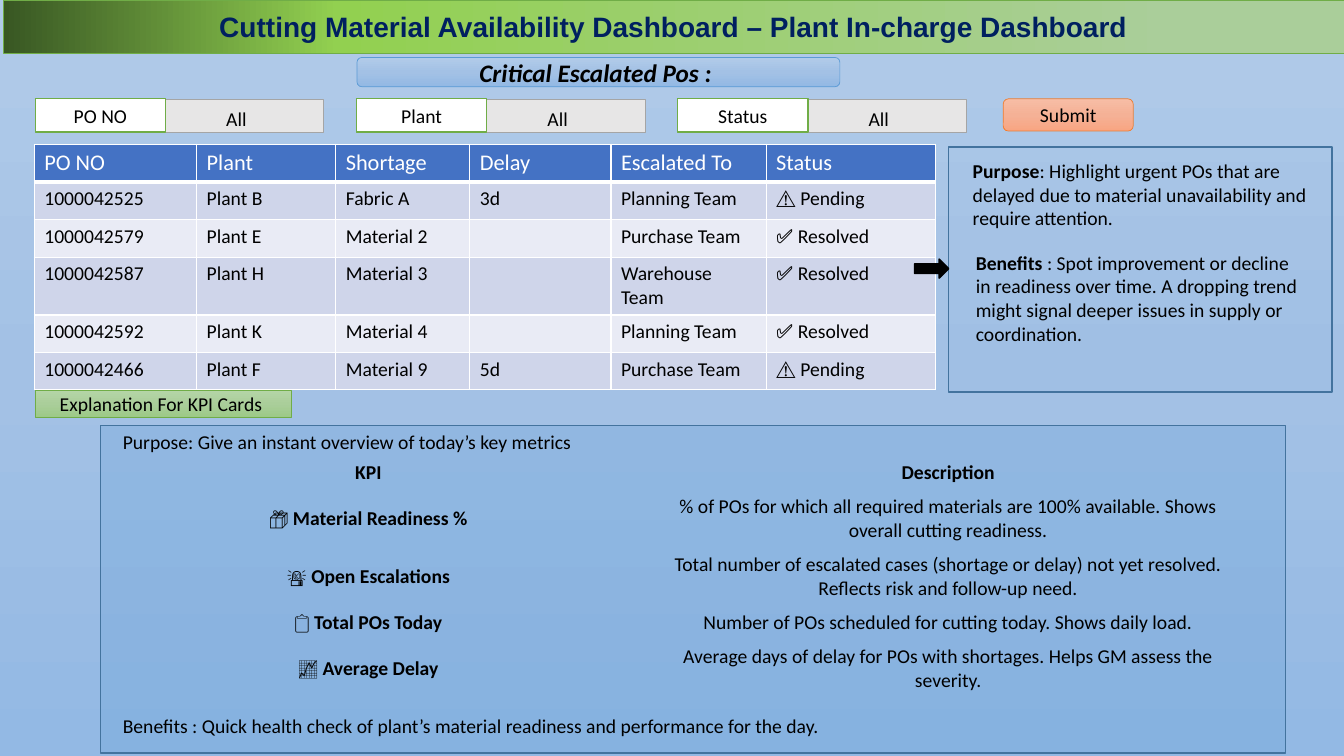
from dataclasses import dataclass
from typing import NamedTuple

from lxml.etree import SubElement
from pptx import Presentation
from pptx.dml.color import RGBColor
from pptx.enum.shapes import MSO_SHAPE as Shape
from pptx.enum.text import MSO_ANCHOR as Anchor, MSO_AUTO_SIZE as AutoSize, PP_ALIGN as Align
from pptx.oxml import parse_xml
from pptx.oxml.ns import nsdecls, qn
from pptx.util import Inches, Pt


@dataclass(frozen=True)
class Theme:
    font: str = "Calibri"
    title_font: str = "Arial"
    body: int = 14
    header: int = 16
    subtitle: int = 18
    title: int = 20
    black: str = "000000"
    white: str = "FFFFFF"
    navy: str = "002060"
    panel: str = "5B9BD5"
    panel_edge: str = "43739E"
    green: str = "70AD47"
    orange: str = "ED7D31"
    grey: str = "E7E6E6"
    grey_edge: str = "A5A5A5"
    table_head: str = "4472C4"
    bands: tuple = ("CFD5EA", "E9EBF5")
    sky: tuple = ((0, "B1CBE9"), (50, "A3C1E5"), (100, "93B9E4"))
    leaf: tuple = ((0, "B5D5A7"), (50, "AACE9A"), (100, "9CC987"))
    peach: tuple = ((0, "F7BDA5"), (50, "F5B196"), (100, "F8A582"))
    banner: tuple = ((13, "AACE9A"), (75, "92D050"), (100, "385723"))


THEME = Theme()
WIDTH, HEIGHT = Inches(13.33), Inches(7.5)
PLAIN_TABLE = "{2D5ABB26-0587-4C30-8999-92F81FD0307C}"
DOWN, LEFTWARD = 270, 180


class Area(NamedTuple):
    """Left, top, width and height in percent of the slide."""
    left: float
    top: float
    width: float
    height: float

    def lengths(self) -> tuple:
        return across(self.left), down(self.top), across(self.width), down(self.height)


class Span(NamedTuple):
    text: str
    bold: bool = False


@dataclass
class Card:
    area: Area
    fill: str | tuple
    edge: str
    edge_width: float = 0.5
    spans: tuple = ()
    kind: Shape = Shape.RECTANGLE
    opacity: int = 100
    angle: int = DOWN
    style: dict | None = None
    insets: dict | None = None


class Note(NamedTuple):
    area: Area
    spans: tuple


def across(percent: float) -> int:
    return round(WIDTH * percent / 100)


def down(percent: float) -> int:
    return round(HEIGHT * percent / 100)


# Text and fills
def write(frame, spans: tuple, align=Align.LEFT, style: dict | None = None) -> None:
    formats = {"name": THEME.font, "size": THEME.body, "color": THEME.black} | (style or {})
    para = frame.paragraphs[0]
    para.alignment = align
    for text, bold in spans:
        span = para.add_run()
        span.text = text
        span.font.color.rgb = RGBColor.from_string(formats["color"])
        values = formats | {"size": Pt(formats["size"]), "bold": formats.get("bold", bold)}
        del values["color"]
        for name, value in values.items():
            setattr(span.font, name, value)


def paint(fill, element, paint_value: str | tuple, angle: int = DOWN) -> None:
    if isinstance(paint_value, str):
        fill.solid()
        fill.fore_color.rgb = RGBColor.from_string(paint_value)
        return
    fill.gradient()
    fill.gradient_angle = angle
    stops = element.find(f".//{qn('a:gsLst')}")
    for stop in list(stops):
        stops.remove(stop)
    for position, color in paint_value:
        stop = SubElement(stops, qn("a:gs"), pos=str(position * 1000))
        SubElement(stop, qn("a:srgbClr"), val=color)


def draw_card(page, card: Card) -> None:
    box = page.shapes.add_shape(card.kind, *card.area.lengths())
    box.shadow.inherit = False
    paint(box.fill, box.element, card.fill, card.angle)
    if card.opacity < 100:
        color = box.element.spPr.find(f"{qn('a:solidFill')}/{qn('a:srgbClr')}")
        SubElement(color, qn("a:alpha"), val=str(card.opacity * 1000))
    box.line.color.rgb = RGBColor.from_string(card.edge)
    box.line.width = Pt(card.edge_width)
    box.text_frame.vertical_anchor = Anchor.MIDDLE
    for side, inset in (card.insets or {}).items():
        setattr(box.text_frame, side, inset)
    write(box.text_frame, card.spans, Align.CENTER, card.style)


def draw_note(page, note: Note) -> None:
    box = page.shapes.add_textbox(*note.area.lengths())
    box.text_frame.word_wrap = True
    box.text_frame.auto_size = AutoSize.SHAPE_TO_FIT_TEXT
    write(box.text_frame, note.spans)


# Tables
def add_grid(page, left: float, top: float, columns: tuple, rows: tuple):
    area = Area(left, top, sum(columns), sum(rows))
    frame = page.shapes.add_table(len(rows), len(columns), *area.lengths())
    frame.element.find(f".//{qn('a:tableStyleId')}").text = PLAIN_TABLE
    table = frame.table
    table.first_row = table.horz_banding = False
    for column, share in zip(table.columns, columns):
        column.width = across(share)
    for row, share in zip(table.rows, rows):
        row.height = down(share)
    return frame


def draw_orders(page) -> None:
    frame = add_grid(page, 2.55, 19.07, (12.08, 10.35, 9.98, 10.5, 11.55, 12.6),
                     (4.93, 5, 5, 7.65, 4.93, 4.93))
    for index, order in enumerate(ORDERS):
        for column, text in enumerate(order):
            cell = frame.table.cell(index, column)
            paint(cell.fill, None, THEME.bands[(index - 1) % 2] if index else THEME.table_head)
            style = {} if index else {"size": THEME.header, "color": THEME.white}
            write(cell.text_frame, (Span(text),) if text else (), style=style)
    for tc in frame.element.iter(qn("a:tc")):
        header = tc.getparent() is frame.element.find(f".//{qn('a:tr')}")
        for place, side in enumerate(("lnL", "lnR", "lnT", "lnB")):
            points = 3 if header and side == "lnB" else 1
            tc.get_or_add_tcPr().insert(place, parse_xml(
                f'<a:{side} {nsdecls("a")} w="{Pt(points)}"><a:solidFill>'
                f'<a:srgbClr val="{THEME.white}"/></a:solidFill></a:{side}>'))
        # An empty cell keeps the body size, so its row does not grow
        para = tc.find(f".//{qn('a:p')}")
        if para.find(qn("a:r")) is None:
            SubElement(para, qn("a:endParaRPr"), sz=str(THEME.body * 100))


def draw_kpis(page) -> None:
    line, double = 4.53, 7.6
    frame = add_grid(page, 5.85, 60.27, (43.13, 43.13), (line, double, double, line, double))
    for index, (icon, name, description) in enumerate(KPIS):
        label = ((Span(f"{icon} "),) if icon else ()) + (Span(name, True),)
        for column, spans in enumerate((label, (Span(description, index == 0),))):
            cell = frame.table.cell(index, column)
            cell.fill.background()
            cell.vertical_anchor = Anchor.MIDDLE
            write(cell.text_frame, spans, Align.CENTER)


# Content
ORDERS = (
    ("PO NO", "Plant", "Shortage", "Delay", "Escalated To", "Status"),
    ("1000042525", "Plant B", "Fabric A", "3d", "Planning Team", "⚠ Pending"),
    ("1000042579", "Plant E", "Material 2", "", "Purchase Team", "✅ Resolved"),
    ("1000042587", "Plant H", "Material 3", "", "Warehouse Team", "✅ Resolved"),
    ("1000042592", "Plant K", "Material 4", "", "Planning Team", "✅ Resolved"),
    ("1000042466", "Plant F", "Material 9", "5d", "Purchase Team", "⚠ Pending"),
)
KPIS = (
    ("", "KPI", "Description"),
    ("📦", "Material Readiness %", "% of POs for which all required materials are 100% available. "
     "Shows overall cutting readiness."),
    ("🚨", "Open Escalations", "Total number of escalated cases (shortage or delay) not yet "
     "resolved. Reflects risk and follow-up need."),
    ("📋", "Total POs Today", "Number of POs scheduled for cutting today. Shows daily load."),
    ("📈", "Average Delay", "Average days of delay for POs with shortages. Helps GM assess the severity."),
)
FILTERS = ("PO NO", "Plant", "Status")
KPI_PANEL = Card(Area(7.5, 56.27, 88.15, 43.33), THEME.panel, THEME.panel_edge, 1, opacity=22)
CARDS = (
    Card(Area(2.63, 51.6, 19.05, 3.6), THEME.leaf, THEME.green,
         spans=(Span("Explanation For KPI Cards "),)),
    Card(Area(26.56, 7.6, 35.93, 3.87), THEME.sky, THEME.panel, kind=Shape.ROUNDED_RECTANGLE,
         spans=(Span("Critical Escalated Pos : "),),
         style={"size": THEME.subtitle, "bold": True, "italic": True}),
    Card(Area(74.64, 13.07, 9.68, 4.27), THEME.peach, THEME.orange,
         kind=Shape.ROUNDED_RECTANGLE, spans=(Span("Submit"),)),
    Card(Area(70.59, 19.47, 28.51, 32.4), THEME.panel, THEME.panel_edge, 1, opacity=3),
    Card(Area(68.04, 34.27, 2.55, 2.53), THEME.black, THEME.black, 1, kind=Shape.RIGHT_ARROW),
    Card(Area(0.23, 0, 99.77, 7.07), THEME.banner, THEME.green, angle=LEFTWARD,
         spans=(Span("Cutting Material Availability Dashboard – Plant In-charge Dashboard", True),),
         style={"name": THEME.title_font, "size": THEME.title, "color": THEME.navy}),
)
NOTES = (
    Note(Area(8.4, 56.27, 69.92, 4.53),
         (Span("Purpose: Give an instant overview of today’s key metrics"),)),
    Note(Area(8.4, 93.73, 69.92, 4.53), (Span(
        "Benefits : Quick health check of plant’s material readiness and performance for the day."),)),
    Note(Area(71.64, 20.4, 26.48, 10.8), (Span("Purpose", True), Span(
        ": Highlight urgent POs that are delayed due to material unavailability and require attention."))),
    Note(Area(71.87, 32.53, 26.18, 13.87), (Span("Benefits ", True), Span(
        ": Spot improvement or decline in readiness over time. A dropping trend might signal "
        "deeper issues in supply or coordination."))),
)


def main() -> None:
    deck = Presentation()
    deck.slide_width, deck.slide_height = WIDTH, HEIGHT
    page = deck.slides.add_slide(deck.slide_layouts[6])
    paint(page.background.fill, page.element, THEME.sky)
    draw_card(page, KPI_PANEL)
    draw_orders(page)
    draw_kpis(page)
    # Filters: a white label over the left part of a grey value field
    value_insets = {"margin_left": across(9.2), "margin_top": down(1.2), "margin_bottom": down(0.4)}
    for index, name in enumerate(FILTERS):
        left = 2.63 + 23.9 * index
        draw_card(page, Card(Area(left, 13.2, 21.46, 4.27), THEME.grey, THEME.grey_edge,
                             spans=(Span("All"),), insets=value_insets))
        draw_card(page, Card(Area(left, 13.07, 9.68, 4.4), THEME.white, THEME.green, 1,
                             spans=(Span(name),)))
    for card in CARDS:
        draw_card(page, card)
    for note in NOTES:
        draw_note(page, note)
    deck.save("out.pptx")


if __name__ == "__main__":
    main()
